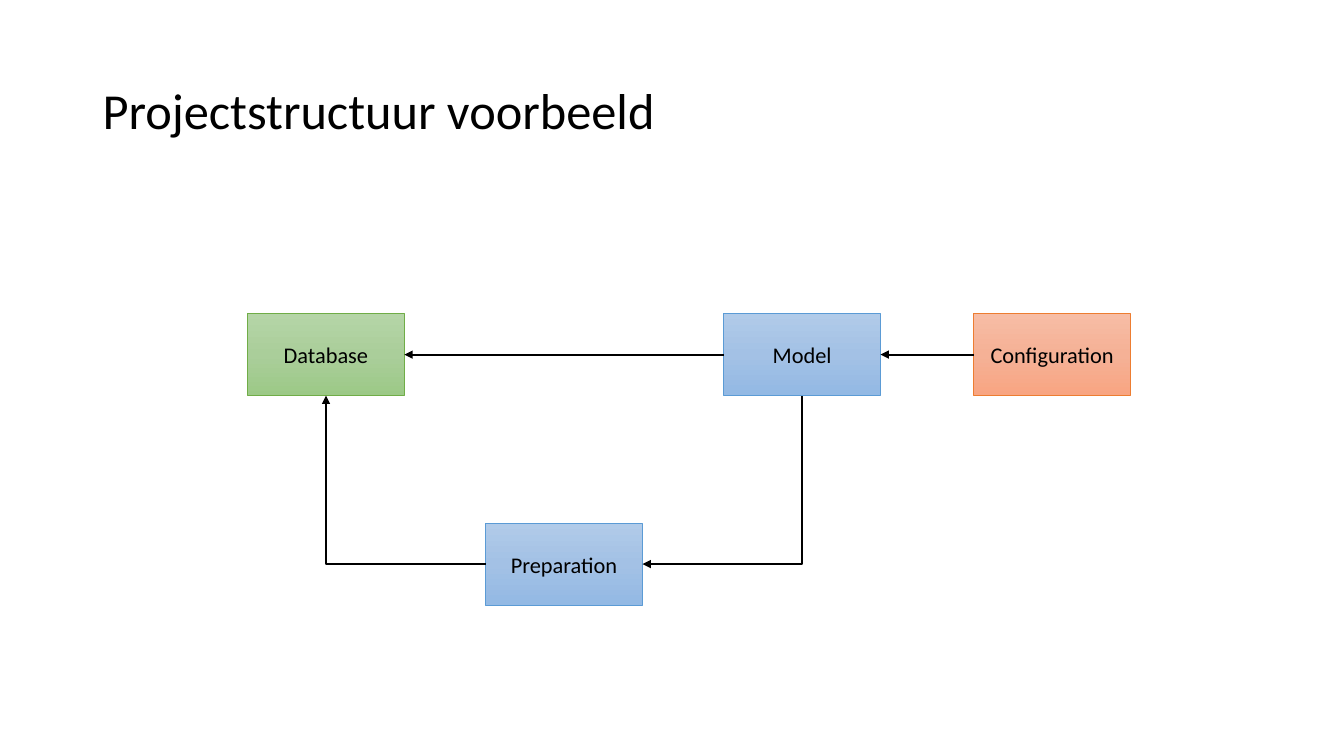
from copy import deepcopy
from dataclasses import dataclass

from lxml import etree
from pptx import Presentation
from pptx.dml.color import RGBColor
from pptx.enum.shapes import MSO_CONNECTOR as CONN, MSO_SHAPE as SHAPE
from pptx.enum.text import MSO_ANCHOR as ANCHOR, PP_ALIGN as ALIGN
from pptx.oxml.ns import qn
from pptx.util import Cm, Pt


@dataclass(frozen=True)
class Theme:
    font: str = "Calibri"
    text: str = "000000"
    title_size: int = 36
    box_size: int = 16
    box_line: float = 0.5
    arrow_line: float = 1.5
    # Each palette: gradient top, middle, bottom, then outline
    blue: tuple = ("B1CBE9", "A3C1E5", "93B9E4", "5B9BD5")
    orange: tuple = ("F7BDA5", "F5B196", "F8A582", "ED7D31")
    green: tuple = ("B5D5A7", "AACE9A", "9CC987", "70AD47")


THEME = Theme()
LEFT, BOTTOM, RIGHT = 1, 2, 3  # connection sites of a rectangle


def rgb(code):
    return RGBColor.from_string(code)


def write(tf, text, size, align):
    tf.text = text
    tf.word_wrap = True
    tf.vertical_anchor = ANCHOR.MIDDLE
    p = tf.paragraphs[0]
    p.alignment = align
    font = p.runs[0].font
    font.name, font.size = THEME.font, Pt(size)
    font.color.rgb = rgb(THEME.text)


def add_title(s, text, left, top, width, height):
    title = s.shapes.title
    title.left, title.top, title.width, title.height = map(Cm, (left, top, width, height))
    write(title.text_frame, text, THEME.title_size, ALIGN.LEFT)
    title.text_frame.paragraphs[0].line_spacing = 0.9


def fill_gradient(sp, colours):
    """Fill from top to bottom with evenly spaced colours."""
    sp.fill.gradient()
    sp.fill.gradient_angle = 270
    stops = sp._element.spPr.find(f".//{qn('a:gsLst')}")
    stops.insert(1, deepcopy(stops[0]))
    for i, (stop, colour) in enumerate(zip(sp.fill.gradient_stops, colours)):
        stop.position = i / 2
        stop.color.rgb = rgb(colour)


def add_box(s, text, palette, left, top, width, height):
    sp = s.shapes.add_shape(SHAPE.RECTANGLE, *map(Cm, (left, top, width, height)))
    sp.shadow.inherit = False
    fill_gradient(sp, palette[:3])
    sp.line.color.rgb = rgb(palette[3])
    sp.line.width = Pt(THEME.box_line)
    write(sp.text_frame, text, THEME.box_size, ALIGN.CENTER)
    return sp


def add_arrow(s, start, start_site, end, end_site, arrow="tailEnd"):
    """Join two boxes; a link to a bottom side gets one right-angled bend."""
    bent = end_site == BOTTOM
    cxn = s.shapes.add_connector(CONN.ELBOW if bent else CONN.STRAIGHT, 0, 0, 0, 0)
    cxn.begin_connect(start, start_site)
    cxn.end_connect(end, end_site)
    cxn.line.color.rgb = rgb(THEME.text)
    cxn.line.width = Pt(THEME.arrow_line)
    spPr = cxn._element.spPr
    if bent:
        spPr.find(qn("a:prstGeom")).set("prst", "bentConnector2")
    etree.SubElement(spPr.find(qn("a:ln")), qn(f"a:{arrow}"), type="triangle")
    etree.SubElement(spPr, qn("a:effectLst"))


def add_structure(s, left, top):
    """Draw the project diagram with its top left corner at the given point."""
    width, height, column, row = 3.95, 2.07, 6, 5.28
    cells = (
        ("Model", THEME.blue, 2 * column, 0),
        ("Configuration", THEME.orange, 18.3, 0),
        ("Preparation", THEME.blue, column, row),
        ("Database", THEME.green, 0, 0),
    )
    model, configuration, preparation, database = (
        add_box(s, text, palette, left + x, top + y, width, height)
        for text, palette, x, y in cells
    )
    add_arrow(s, model, LEFT, database, RIGHT)
    add_arrow(s, preparation, LEFT, database, BOTTOM)
    add_arrow(s, preparation, RIGHT, model, BOTTOM, arrow="headEnd")
    add_arrow(s, configuration, LEFT, model, RIGHT)


def main():
    prs = Presentation()
    prs.slide_width, prs.slide_height = Cm(33.87), Cm(19.05)
    s = prs.slides.add_slide(prs.slide_layouts[5])
    add_title(s, "Projectstructuur voorbeeld", 2.33, 1.01, 29.21, 3.68)
    add_structure(s, 6.24, 7.9)
    prs.save("out.pptx")


if __name__ == "__main__":
    main()
